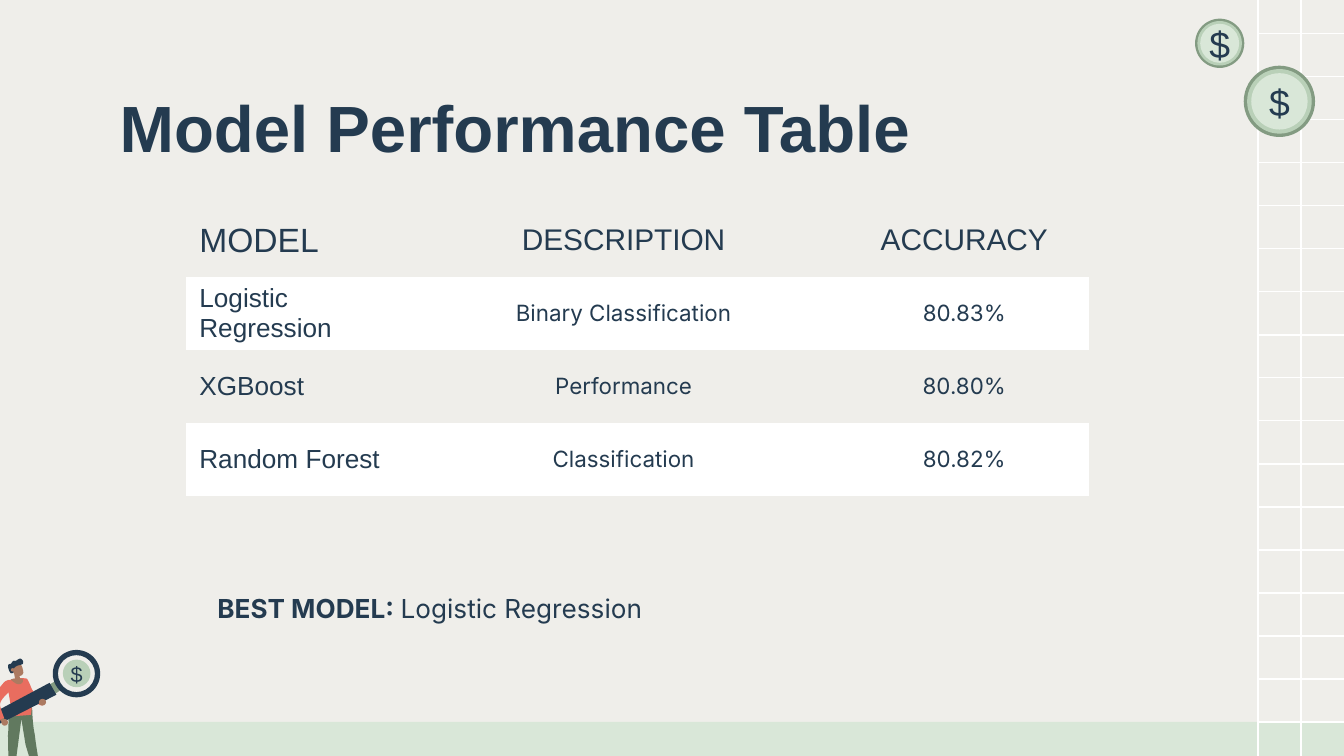
from dataclasses import dataclass
from typing import NamedTuple

import lxml.etree
import pptx
import pptx.dml.color
import pptx.enum.shapes
import pptx.enum.text
import pptx.oxml.ns
import pptx.util

Pt = pptx.util.Pt
SHAPE = pptx.enum.shapes.MSO_SHAPE
ALIGN = pptx.enum.text.PP_ALIGN
MIDDLE = pptx.enum.text.MSO_ANCHOR.MIDDLE

NAVY, WHITE, PAPER = "243B50", "FFFFFF", "EFEEEA"
MOSS, SAGE, MINT, LEAF = "839B82", "B9D0B8", "D9E7D8", "61795F"
CORAL, SKIN = "E96D5F", "AC7A61"
WIDTH, HEIGHT = 720, 405
NO_STYLE_NO_GRID = "{2D5ABB26-0587-4C30-8999-92F81FD0307C}"


class Coin(NamedTuple):
    cx: float
    cy: float
    diameters: tuple  # rim, ring, face


class Oval(NamedTuple):
    fill: str
    box: tuple


@dataclass
class Outline:
    """Closed outline: each segment is a line (x, y) or a cubic curve (x1, y1, x2, y2, x, y)."""
    fill: str
    start: tuple
    segments: list


class Column(NamedTuple):
    width: float
    align: int
    header_size: float
    body_size: float
    body_font: str
    side_margin: float


COINS = [Coin(653.4, 23.2, (26.4, 23.8, 20.9)), Coin(685.4, 54.3, (38.2, 34.6, 30.2))]

TROUSERS = Outline(LEAF, (4.3, 379.4), [
    (4.3, 379.4, 5, 387.4, 4.3, 393.8), (4.3, 403.9, 5, 412.6, 5, 412.6), (7.9, 412.6),
    (11.5, 385.2), (11.5, 385.2, 12.2, 389.5, 13.7, 398.9), (15.8, 406.1, 18, 412.6, 18, 412.6),
    (21.6, 412.6), (21.6, 412.6, 19.4, 400.3, 18.7, 393.8), (17.3, 387.4, 17.3, 379.4, 17.3, 379.4)])
RIGHT_ARM = Outline(CORAL, (11.5, 363.6), [
    (11.5, 363.6, 14.4, 364.3, 15.8, 367.2), (17.3, 370.1, 20.9, 374.4, 20.9, 374.4),
    (23.8, 376.6), (22.3, 378), (22.3, 378, 18, 376.6, 16.6, 375.1),
    (14.4, 373.7, 11.5, 365, 10.8, 365)])
TORSO = Outline(CORAL, (14.4, 363.6), [
    (15.1, 364.3, 16.6, 367.9, 17.3, 370.1), (18, 372.2, 16.6, 383, 16.6, 383), (6.5, 383.8),
    (6.5, 383.8, 5, 372.2, 4.3, 370.1), (4.3, 369.4, 2.2, 365.8, 2.2, 365.8),
    (2.2, 365.8, 4.3, 364.3, 7.9, 363.6), (10.8, 362.9, 14.4, 363.6, 14.4, 363.6)])
HEAD = Outline(SKIN, (6.5, 359.3), [
    (6.5, 359.3, 7.9, 362.2, 10.1, 362.2), (12.2, 362.2, 13, 360.7, 12.2, 358.6),
    (12.2, 356.4, 9.4, 354.2, 8.6, 354.2), (7.9, 354.2, 6.5, 356.4, 6.5, 357.8)])
NECK = Outline(SKIN, (7.2, 358.6), [
    (7.2, 358.6, 7.9, 362.2, 7.9, 362.9), (8.6, 363.6, 7.9, 363.6, 7.9, 363.6),
    (7.9, 363.6, 5.8, 363.6, 5.8, 364.3), (6.5, 364.3, 8.6, 367.2, 10.8, 366.5),
    (13, 365.8, 12.2, 364.3, 12.2, 363.6), (10.8, 363.6), (10.8, 363.6, 10.1, 360, 9.4, 359.3)])
CLASP = Outline(MOSS, (29.5, 365), [(25.9, 367.2), (28.8, 372.2), (33.1, 369.4)])
HANDLE = Outline(NAVY, (26.6, 365.8), [
    (30.2, 372.2), (-2.2, 388.8), (-2.2, 388.8, -4.3, 388.8, -5, 386.6),
    (-6.5, 383, -4.3, 382.3, -4.3, 382.3)])
WRIST = Outline(SKIN, (2.9, 385.9), [(1.4, 383.8), (-0.7, 384.5), (0.7, 386.6)])
LEFT_ARM = Outline(CORAL, (5, 364.3), [
    (5, 364.3, 2.9, 364.3, 1.4, 366.5), (-0.7, 368.6, -4.3, 375.1, -4.3, 377.3),
    (-4.3, 379.4, -0.7, 385.9, -0.7, 385.9), (2.2, 384.5), (2.2, 384.5, 0, 379.4, 0, 377.3),
    (0, 374.4, 6.5, 369.4, 6.5, 369.4)])
HAIR = Outline(NAVY, (7.2, 358.6), [
    (7.2, 358.6, 7.9, 357.1, 8.6, 357.1), (8.6, 356.4, 11.5, 356.4, 12.2, 355.7),
    (13, 354.2, 11.5, 352.8, 10.8, 352.8), (10.1, 352.8, 8.6, 354.2, 7.9, 354.2),
    (7.9, 354.2, 7.2, 353.5, 7.2, 354.2), (6.5, 354.2, 6.5, 355, 5.8, 355.7),
    (5, 355.7, 4.3, 355.7, 4.3, 357.1), (4.3, 357.8, 5, 360, 5.8, 360.7),
    (6.5, 360.7, 7.2, 360.7, 7.2, 360)])
RIGHT_HAND = Oval(SKIN, (20.9, 374.4, 3.8, 3.6))
LEFT_HAND = Oval(SKIN, (0.7, 385.2, 3.6, 3.6))
EAR = Oval(SKIN, (5.8, 358, 2, 1.8))
PERSON = [TROUSERS, RIGHT_ARM, TORSO, HEAD, NECK, CLASP, HANDLE, RIGHT_HAND,
          LEFT_HAND, WRIST, LEFT_ARM, HAIR, EAR]

COLUMNS = [Column(119, ALIGN.LEFT, 18, 14, "Arial", 7.2),
           Column(231, ALIGN.CENTER, 16, 12, "Inter", 0),
           Column(134, ALIGN.CENTER, 16, 12, "Inter", 0)]
ROWS = [("MODEL", "DESCRIPTION", "ACCURACY"),
        ("Logistic Regression", "Binary Classification", "80.83%"),
        ("XGBoost", "Performance", "80.80%"),
        ("Random Forest", "Classification", "80.82%")]
ROW_HEIGHT = 39.1


def rgb(value: str):
    return pptx.dml.color.RGBColor.from_string(value)


def apply(target, **formats) -> None:
    for name, value in formats.items():
        setattr(target, name, value)


def set_margins(target, side: float, end: float) -> None:
    apply(target, margin_left=Pt(side), margin_right=Pt(side),
          margin_top=Pt(end), margin_bottom=Pt(end))


def add_run(p, text: str, size: float, font: str = "Arial", bold: bool = False) -> None:
    r = p.add_run()
    r.text = text
    apply(r.font, size=Pt(size), name=font, bold=bold)
    r.font.color.rgb = rgb(NAVY)


def paint(sp, fill: str):
    sp.shadow.inherit = False
    sp.fill.solid()
    sp.fill.fore_color.rgb = rgb(fill)
    sp.line.fill.background()
    return sp


def add_shape(s, kind, fill: str, box: tuple):
    return paint(s.shapes.add_shape(kind, *map(Pt, box)), fill)


def add_disc(s, fill: str, cx: float, cy: float, d: float):
    return add_shape(s, SHAPE.OVAL, fill, (cx - d / 2, cy - d / 2, d, d))


def add_dollar(sp, size: float) -> None:
    tf = sp.text_frame
    apply(tf, word_wrap=False, vertical_anchor=MIDDLE)
    set_margins(tf, 0, 0)
    p = tf.paragraphs[0]
    p.alignment = ALIGN.CENTER
    add_run(p, "$", size)


def add_coin(s, coin: Coin) -> None:
    for fill, d in zip((MOSS, SAGE, MINT), coin.diameters):
        face = add_disc(s, fill, coin.cx, coin.cy, d)
    add_dollar(face, 20)


def add_outline(s, outline: Outline, steps: int = 6) -> None:
    """Draw the outline, with each curve sampled into short lines."""
    points = [outline.start]
    for segment in outline.segments:
        if len(segment) == 2:
            points.append(segment)
            continue
        ctrl = [points[-1], segment[:2], segment[2:4], segment[4:]]
        for t in (i / steps for i in range(1, steps + 1)):
            weights = ((1 - t) ** 3, 3 * t * (1 - t) ** 2, 3 * t * t * (1 - t), t ** 3)
            points.append(tuple(sum(w * c[axis] for w, c in zip(weights, ctrl)) for axis in (0, 1)))
    start, *rest = [(Pt(x), Pt(y)) for x, y in points]
    builder = s.shapes.build_freeform(*start)
    builder.add_line_segments(rest, close=True)
    paint(builder.convert_to_shape(), outline.fill)


def add_grid_line(s, x1: float, y1: float, x2: float, y2: float) -> None:
    line = s.shapes.add_connector(pptx.enum.shapes.MSO_CONNECTOR.STRAIGHT, *map(Pt, (x1, y1, x2, y2)))
    line.line.width = Pt(0.75)
    line.line.color.rgb = rgb(WHITE)
    lxml.etree.SubElement(line._element.spPr, pptx.oxml.ns.qn("a:effectLst"))


def add_backdrop(s) -> None:
    add_shape(s, SHAPE.RECTANGLE, MINT, (0, 386.8, WIDTH, HEIGHT - 386.8))
    pitch, left = 23.04, 674
    for i in range(17):
        y = 18.1 + i * pitch
        add_grid_line(s, left, y, WIDTH, y)
    for x in (left, left + pitch):
        add_grid_line(s, x, 0, x, HEIGHT)


def add_person(s) -> None:
    add_dollar(add_disc(s, SAGE, 41.1, 360.8, 14.8), 11.6)
    for part in PERSON:
        if isinstance(part, Oval):
            add_shape(s, SHAPE.OVAL, *part)
        else:
            add_outline(s, part)
    ring = add_shape(s, SHAPE.DONUT, NAVY, (28.3, 348.2, 25.4, 25.4))
    ring.adjustments[0] = 0.11


def add_results(s) -> None:
    frame = s.shapes.add_table(len(ROWS), len(COLUMNS), Pt(99.6), Pt(109.3),
                               Pt(sum(c.width for c in COLUMNS)), Pt(ROW_HEIGHT * len(ROWS)))
    table = frame.table
    apply(table, first_row=False, horz_banding=False)
    next(frame._element.iter(pptx.oxml.ns.qn("a:tableStyleId"))).text = NO_STYLE_NO_GRID
    for j, col in enumerate(COLUMNS):
        table.columns[j].width = Pt(col.width)
    for i, row in enumerate(ROWS):
        table.rows[i].height = Pt(ROW_HEIGHT)
        for j, (text, col) in enumerate(zip(row, COLUMNS)):
            cell = table.cell(i, j)
            cell.vertical_anchor = MIDDLE
            cell.fill.background()
            if i % 2:
                cell.fill.solid()
                cell.fill.fore_color.rgb = rgb(WHITE)
            p = cell.text_frame.paragraphs[0]
            p.alignment = col.align
            if i == 0:
                set_margins(cell, 7.2, 5)
                add_run(p, text, col.header_size)
            else:
                set_margins(cell, col.side_margin, 0)
                add_run(p, text, col.body_size, col.body_font)


def add_text(sp, box: tuple, spacing: float, runs: list) -> None:
    apply(sp, **dict(zip(("left", "top", "width", "height"), map(Pt, box))))
    tf = sp.text_frame
    apply(tf, word_wrap=True, auto_size=pptx.enum.text.MSO_AUTO_SIZE.NONE,
          vertical_anchor=pptx.enum.text.MSO_ANCHOR.TOP)
    set_margins(tf, 7.2, 7.2)
    p = tf.paragraphs[0]
    apply(p, alignment=ALIGN.LEFT, line_spacing=spacing)
    for r in runs:
        add_run(p, *r)


def main() -> None:
    prs = pptx.Presentation()
    apply(prs, slide_width=Pt(WIDTH), slide_height=Pt(HEIGHT))
    s = prs.slides.add_slide(prs.slide_layouts[5])
    s.background.fill.solid()
    s.background.fill.fore_color.rgb = rgb(PAPER)
    add_backdrop(s)
    add_person(s)
    for coin in COINS:
        add_coin(s, coin)
    add_text(s.shapes.title, (56.9, 35.3, 607, 45.4), 1.1,
             [("Model Performance Table", 35, "Arial", True)])
    add_results(s)
    add_text(s.shapes.add_textbox(0, 0, 0, 0), (109.4, 310.3, 442.8, 23.8), 1.0,
             [("BEST MODEL: ", 14, "Inter", True), ("Logistic Regression", 14, "Inter")])
    prs.save("out.pptx")


if __name__ == "__main__":
    main()
